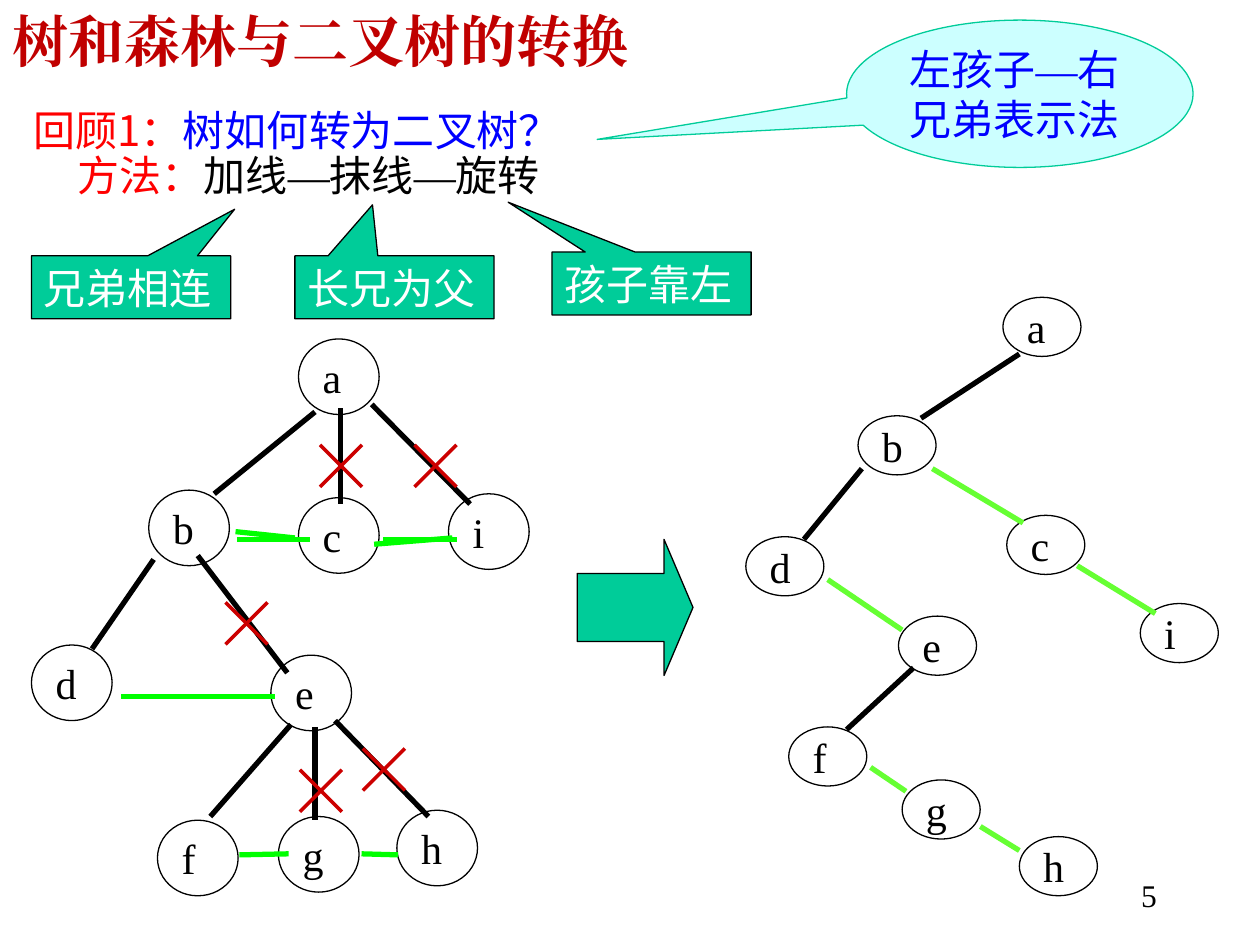
from lxml.etree import SubElement
from pptx import Presentation
from pptx.dml.color import RGBColor
from pptx.enum.shapes import MSO_CONNECTOR as Link, MSO_SHAPE as Preset
from pptx.enum.text import MSO_ANCHOR as Anchor, MSO_AUTO_SIZE as Fit, PP_ALIGN as Align
from pptx.oxml.ns import qn
from pptx.util import Pt

SANS = "Noto Sans CJK SC"
SERIF = "Times New Roman"
BLACK, WHITE, RED, BLUE = "000000", "FFFFFF", "FF0000", "0000FF"
TEAL, LIME, CROSS_RED = "00CC99", "00FF00", "CC0000"


def color(value):
    return RGBColor.from_string(value)


def points(*values):
    return [Pt(value) for value in values]


class Sketch:
    text_size = 24
    outline = 0.75
    edge_width = 3

    def __init__(self, page):
        self.page = page

    def style(self, font, properties, name, ink):
        font.name = name
        font.color.rgb = color(ink)
        SubElement(properties, qn("a:ea")).set("typeface", name)

    def label(self, box, spans, size=text_size, anchor=Anchor.TOP,
              align=Align.LEFT, wrap=True, bold=False):
        frame = box.text_frame
        frame.word_wrap = wrap
        frame.auto_size = Fit.NONE
        frame.vertical_anchor = anchor
        para = frame.paragraphs[0]
        para.alignment = align
        para.font.size = Pt(size)
        para.font.bold = bold
        for content, name, ink in spans:
            span = para.add_run()
            span.text = content
            if len(spans) > 1:
                self.style(span.font, span._r.get_or_add_rPr(), name, ink)
        if len(spans) == 1:
            properties = para._p.pPr.find(qn("a:defRPr"))
            self.style(para.font, properties, *spans[0][1:])

    def title(self, place, content):
        box = self.page.shapes.title
        box.left, box.top, box.width, box.height = points(*place)
        self.label(box, [(content, SERIF, "C00000")], 32, Anchor.MIDDLE, bold=True)

    def text(self, place, spans, **options):
        box = self.page.shapes.add_textbox(*points(*place))
        self.label(box, spans, **options)

    def shape(self, preset, place, fill=None, line=BLACK, adjust=()):
        box = self.page.shapes.add_shape(preset, *points(*place))
        box.shadow.inherit = False
        if fill:
            box.fill.solid()
            box.fill.fore_color.rgb = color(fill)
        else:
            box.fill.background()
        box.line.color.rgb = color(line)
        box.line.width = Pt(self.outline)
        for index, value in enumerate(adjust):
            box.adjustments[index] = value
        return box

    def nodes(self, places, width, height, fill=None):
        for name, (left, top) in places.items():
            box = self.shape(Preset.OVAL, (left, top, width, height), fill)
            self.label(box, [(name, SERIF, BLACK)], anchor=Anchor.MIDDLE, wrap=False)

    def edges(self, ends, ink, width=edge_width):
        for end in ends:
            edge = self.page.shapes.add_connector(Link.STRAIGHT, *points(*end))
            edge.line.color.rgb = color(ink)
            edge.line.width = Pt(width)
            SubElement(edge._element.spPr, qn("a:effectLst"))

    def cross(self, left, top, side=24):
        right, bottom = left + side, top + side
        self.edges([(right, top, left, bottom), (left, top, right, bottom)], CROSS_RED, 2)


TREE_NODES = {
    "a": (170.6, 193.7), "b": (85, 280.1), "c": (170.6, 284.4),
    "d": (18, 368.6), "e": (154.8, 374.4), "f": (90, 468.7),
    "g": (159.1, 466.6), "h": (226.8, 463), "i": (256.3, 282.2),
}
TREE_EDGES = [
    (180, 235.4, 122.4, 282.2), (87.8, 319.7, 52.6, 370.8),
    (212.4, 231.1, 268.6, 288), (113, 317.5, 164.2, 384.5),
    (166.3, 414, 120.2, 466.6), (191.5, 411.8, 244.8, 466.6),
    (180, 415.4, 180, 468.7), (194.4, 233.3, 194.4, 288),
]
SIBLING_EDGES = [
    (135.4, 308.2, 177.1, 308.2), (218.9, 308.2, 261.4, 308.2),
    (69.1, 398.2, 157, 398.2), (136.8, 488.5, 164.9, 487.9),
    (206.6, 487.9, 227.5, 488.5), (134.6, 303.8, 168.5, 307.4),
    (213.8, 311, 258.5, 307.4),
]
CROSSES = [(171.4, 439.9), (207.4, 427.7), (128.9, 344.2), (182.9, 254.2), (236.9, 254.2)]
BINARY_NODES = {
    "a": (573.1, 169.9), "b": (490.3, 237.6), "c": (575.3, 294.5),
    "d": (426.2, 306.7), "e": (513.4, 352.1), "f": (450.7, 415.4),
    "g": (515.5, 445.7), "h": (582.5, 478.1), "i": (651.6, 344.9),
}
LEFT_EDGES = [
    (582.5, 202.3, 526.3, 239), (492.5, 267.8, 459.4, 308.2),
    (522, 381.6, 483.8, 416.9),
]
RIGHT_EDGES = [
    (532.8, 267.8, 584.6, 298.8), (615.6, 323.3, 660.2, 350.6),
    (473, 331.2, 515.5, 360), (497.5, 438.5, 517.7, 452.2),
    (560.2, 472.3, 582.5, 486),
]
STEPS = [
    ("兄弟相连", 18, 146.2, (0.52, -1.24)),
    ("长兄为父", 168.5, 146.2, (-0.11, -1.31)),
    ("孩子靠左", 315.4, 144, (-0.72, -1.29)),
]


def main():
    deck = Presentation()
    deck.slide_width, deck.slide_height = points(720, 540)
    sketch = Sketch(deck.slides.add_slide(deck.slide_layouts[5]))

    sketch.title((0, 0, 382.3, 45.4), "树和森林与二叉树的转换")
    sketch.text((12.2, 56.2, 328.3, 36), [
        ("回顾1：", SANS, RED), ("树如何转为二叉树？", SANS, BLUE)], wrap=False)
    sketch.text((37.4, 82.1, 283.7, 36), [
        ("方法：", SANS, RED), ("加线", SANS, BLACK), ("—", SERIF, BLACK),
        ("抹线", SANS, BLACK), ("—", SERIF, BLACK), ("旋转", SANS, BLACK)], wrap=False)

    sketch.nodes(TREE_NODES, 46.1, 43.2)
    sketch.edges(TREE_EDGES, BLACK)
    sketch.edges(SIBLING_EDGES, LIME)
    for left, top in CROSSES:
        sketch.cross(left, top)

    sketch.shape(Preset.RIGHT_ARROW, (329.8, 308.2, 66.2, 77.8), TEAL, adjust=(0.5, 0.25))

    sketch.nodes(BINARY_NODES, 44.6, 33.8, WHITE)
    sketch.edges(LEFT_EDGES, BLACK)
    sketch.edges(RIGHT_EDGES, "66FF33")

    for content, left, top, tip in STEPS:
        box = sketch.shape(Preset.RECTANGULAR_CALLOUT, (left, top, 113.8, 36), TEAL, adjust=tip)
        sketch.label(box, [(content, SANS, WHITE)])

    bubble = sketch.shape(Preset.OVAL_CALLOUT, (483.8, 11.5, 198, 84.2),
                          "CCFFFF", TEAL, (-1.22, 0.31))
    sketch.label(bubble, [("左孩子", SANS, BLUE), ("—", SERIF, BLUE),
                          ("右兄弟表示法", SANS, BLUE)], anchor=Anchor.MIDDLE)

    sketch.text((518.4, 496.8, 149.8, 36), [("5", SERIF, BLACK)], size=18, align=Align.RIGHT)
    deck.save("out.pptx")


if __name__ == "__main__":
    main()
